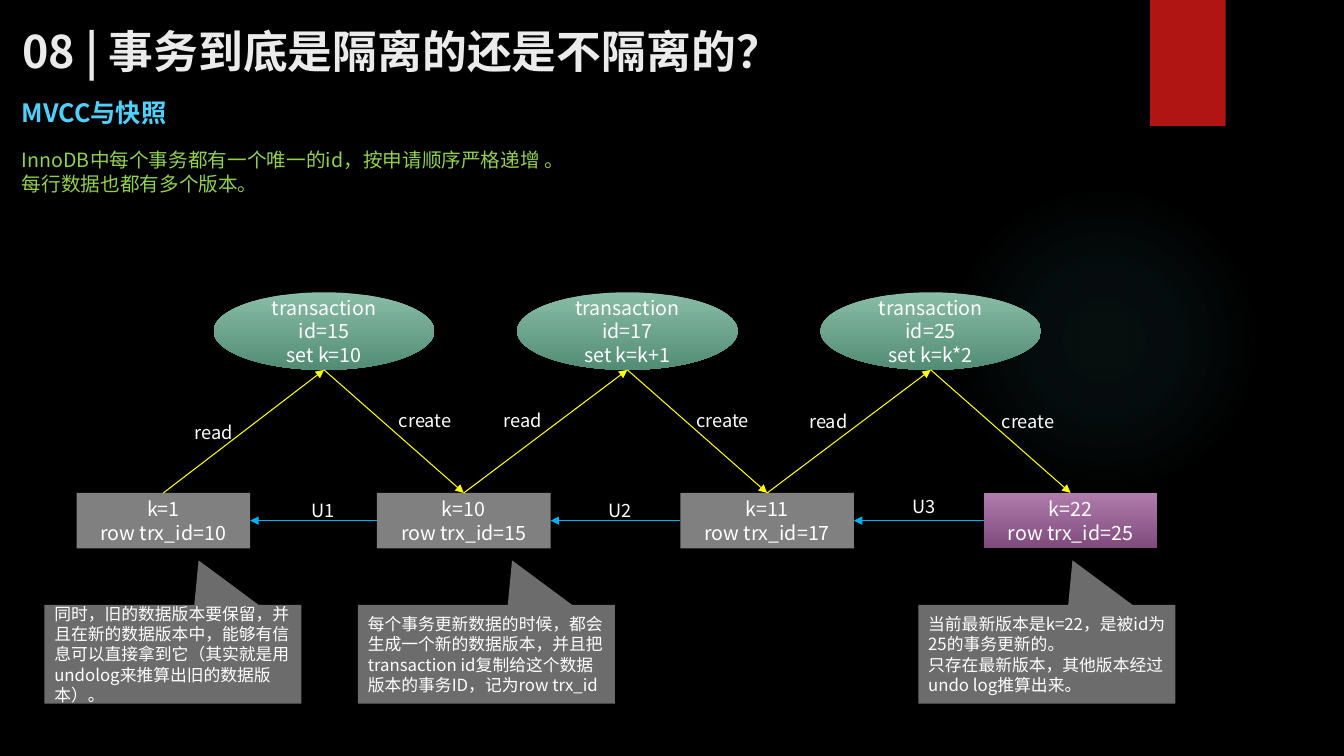
from lxml import etree
from pptx import Presentation
from pptx.dml.color import RGBColor
from pptx.enum.shapes import MSO_CONNECTOR, MSO_SHAPE
from pptx.enum.text import MSO_ANCHOR, PP_ALIGN
from pptx.oxml.ns import qn
from pptx.util import Pt

OVAL, RECT = MSO_SHAPE.OVAL, MSO_SHAPE.RECTANGLE
CALLOUT = MSO_SHAPE.RECTANGULAR_CALLOUT
STRAIGHT = MSO_CONNECTOR.STRAIGHT
TOP, MIDDLE = MSO_ANCHOR.TOP, MSO_ANCHOR.MIDDLE
LEFT, CENTER = PP_ALIGN.LEFT, PP_ALIGN.CENTER

TITLE = "08 | 事务到底是隔离的还是不隔离的？"
HEADING = ["MVCC与快照"]
INTRO = ["InnoDB中每个事务都有一个唯一的id，按申请顺序严格递增 。",
         "每行数据也都有多个版本。"]
VERSIONS = [("k=1", "row trx_id=10"), ("k=10", "row trx_id=15"),
            ("k=11", "row trx_id=17"), ("k=22", "row trx_id=25")]
UPDATES = [("transaction id=15", "set k=10"),
           ("transaction id=17", "set k=k+1"),
           ("transaction id=25", "set k=k*2")]
# text, left, top, width
LABELS = [("read", 131.8, 297.4, 42.5), ("create", 277.9, 288.7, 52.6),
          ("U1", 215.3, 352.8, 32.4),
          ("read", 352.8, 288.7, 42.5), ("create", 490.3, 288.7, 54.7),
          ("U2", 427.7, 352.8, 32.4),
          ("read", 571, 289.4, 42.5), ("create", 708.5, 289.4, 54.7),
          ("U3", 644.4, 349.9, 32.4)]
# left, paragraphs
NOTES = [
    (255.6, ["每个事务更新数据的时候，都会生成一个新的数据版本，并且把transaction id"
             "复制给这个数据版本的事务ID，记为row trx_id"]),
    (31.7, ["同时，旧的数据版本要保留，并且在新的数据版本中，能够有信息可以直接拿到它"
            "（其实就是用undolog来推算出旧的数据版本）。"]),
    (655.9, ["当前最新版本是k=22，是被id为25的事务更新的。",
             "只存在最新版本，其他版本经过undo log推算出来。"]),
]

THEME = {
    "font": "Noto Sans CJK SC", "back": "000000", "bar": "B01513",
    "glow": [(0, "50B9C1", 7), (36, "50B9C1", 6), (69, "50B9C1", 0)],
    "oval": [(0, "89BDA7", 100), (100, "538C74", 100)],
    "latest": [(0, "AF7CAC", 100), (100, "7F4B7C", 100)],
    "old": [(0, "808080", 100), (100, "808080", 100)],
    "note": [(0, "D9D9D9", 50), (100, "D9D9D9", 50)],
    "flow": "FFFF00", "undo": "00B0F0",
    "title": {"size": 32, "color": "EBEBEB", "bold": True},
    "head": {"size": 18, "color": "4FD1FF", "bold": True},
    "intro": {"size": 14, "color": "92D050", "bold": False},
    "node": {"size": 14, "color": "FFFFFF", "bold": False},
    "label": {"size": 13, "color": "FFFFFF", "bold": False},
    "small": {"size": 12, "color": "FFFFFF", "bold": False},
}

ROW_X = [54.7, 269.3, 486, 702.7]
ROW_Y, ROW_W, ROW_H = 352.1, 124, 39.6
OVAL_Y, OVAL_W, OVAL_H, OVAL_BACK = 208.8, 157.7, 55.4, 116.7
NOTE_Y, NOTE_W, NOTE_H = 432, 183.6, 70.6


def rgb(code):
    return RGBColor.from_string(code)


def write(shape, lines, style, align=LEFT, anchor=TOP, wrap=True):
    frame = shape.text_frame
    frame.text = "\n".join(lines)
    frame.word_wrap, frame.vertical_anchor = wrap, anchor
    form = {"name": THEME["font"], "size": Pt(style["size"]), "bold": style["bold"]}
    for para in frame.paragraphs:
        para.alignment = align
        for run in para.runs:
            for key, val in form.items():
                setattr(run.font, key, val)
            run.font.color.rgb = rgb(style["color"])
            latin = run.font._element.find(qn("a:latin"))
            east = etree.Element(qn("a:ea"), typeface=THEME["font"])
            latin.addnext(east)


def blend(shape, stops, radial=False):
    """Fill with stops of (position, colour, opacity), all in percent."""
    shape.fill.background()
    grad = etree.Element(qn("a:gradFill"), rotWithShape="1")
    items = etree.SubElement(grad, qn("a:gsLst"))
    for pos, code, alpha in stops:
        stop = etree.SubElement(items, qn("a:gs"), pos=str(pos * 1000))
        color = etree.SubElement(stop, qn("a:srgbClr"), val=code)
        if alpha < 100:
            etree.SubElement(color, qn("a:alpha"), val=str(alpha * 1000))
    if radial:
        way = etree.SubElement(grad, qn("a:path"), path="circle")
        etree.SubElement(way, qn("a:fillToRect"),
                         {side: "50000" for side in "ltrb"})
    else:
        etree.SubElement(grad, qn("a:lin"), ang="5400000", scaled="0")
    props = shape._element.spPr
    props.replace(props.find(qn("a:noFill")), grad)


def draw(slide, kind, box, fill, radial=False):
    shape = slide.shapes.add_shape(kind, *map(Pt, box))
    shape.shadow.inherit = False
    shape.line.fill.background()
    if isinstance(fill, str):
        shape.fill.solid()
        shape.fill.fore_color.rgb = rgb(fill)
    elif fill[0][1:] == fill[-1][1:] and fill[0][2] == 100:
        shape.fill.solid()
        shape.fill.fore_color.rgb = rgb(fill[0][1])
    else:
        blend(shape, fill, radial)
    return shape


def arrow(slide, start, end, color):
    link = slide.shapes.add_connector(STRAIGHT, *map(Pt, start + end))
    link.line.color.rgb = rgb(color)
    link.line.width = Pt(0.75)
    etree.SubElement(link.line._get_or_add_ln(), qn("a:tailEnd"), type="triangle")
    etree.SubElement(link._element.spPr, qn("a:effectLst"))


def label(slide, box, lines, style, wrap=True):
    write(slide.shapes.add_textbox(*map(Pt, box)), lines, style, wrap=wrap)


def main():
    deck = Presentation()
    deck.slide_width, deck.slide_height = Pt(960), Pt(540)
    slide = deck.slides.add_slide(deck.slide_layouts[5])
    slide.background.fill.solid()
    slide.background.fill.fore_color.rgb = rgb(THEME["back"])

    draw(slide, OVAL, (677.5, 131.8, 221.8, 221.8), THEME["glow"], radial=True)
    draw(slide, RECT, (821.5, 0, 54, 90), THEME["bar"])

    title = slide.shapes.title
    place = {"left": 8.6, "top": 12.2, "width": 877.7, "height": 47.5}
    for key, val in place.items():
        setattr(title, key, Pt(val))
    write(title, [TITLE], THEME["title"], anchor=MIDDLE)
    label(slide, (8.6, 66.2, 124.6, 28.8), HEADING, THEME["head"], wrap=False)
    label(slide, (8.6, 102.2, 699, 41), INTRO, THEME["intro"])

    for i, (x, lines) in enumerate(zip(ROW_X, VERSIONS)):
        fill = THEME["latest" if i == len(VERSIONS) - 1 else "old"]
        row = draw(slide, RECT, (x, ROW_Y, ROW_W, ROW_H), fill)
        write(row, lines, THEME["node"], CENTER, MIDDLE)

    mid = ROW_Y + ROW_H / 2
    for old, new, lines in zip(ROW_X, ROW_X[1:], UPDATES):
        x = new - OVAL_BACK
        oval = draw(slide, OVAL, (x, OVAL_Y, OVAL_W, OVAL_H), THEME["oval"])
        write(oval, lines, THEME["node"], CENTER, MIDDLE)
        base = (x + OVAL_W / 2, OVAL_Y + OVAL_H)
        arrow(slide, (old + ROW_W / 2, ROW_Y), base, THEME["flow"])
        arrow(slide, base, (new + ROW_W / 2, ROW_Y), THEME["flow"])
        arrow(slide, (new, mid), (old + ROW_W, mid), THEME["undo"])

    for text, x, y, width in LABELS:
        label(slide, (x, y, width, 23), [text], THEME["label"], wrap=False)

    for x, lines in NOTES:
        note = draw(slide, CALLOUT, (x, NOTE_Y, NOTE_W, NOTE_H), THEME["note"])
        note.adjustments[0], note.adjustments[1] = 0.1, -0.95
        write(note, lines, THEME["small"], anchor=MIDDLE)

    deck.save("out.pptx")


if __name__ == "__main__":
    main()
